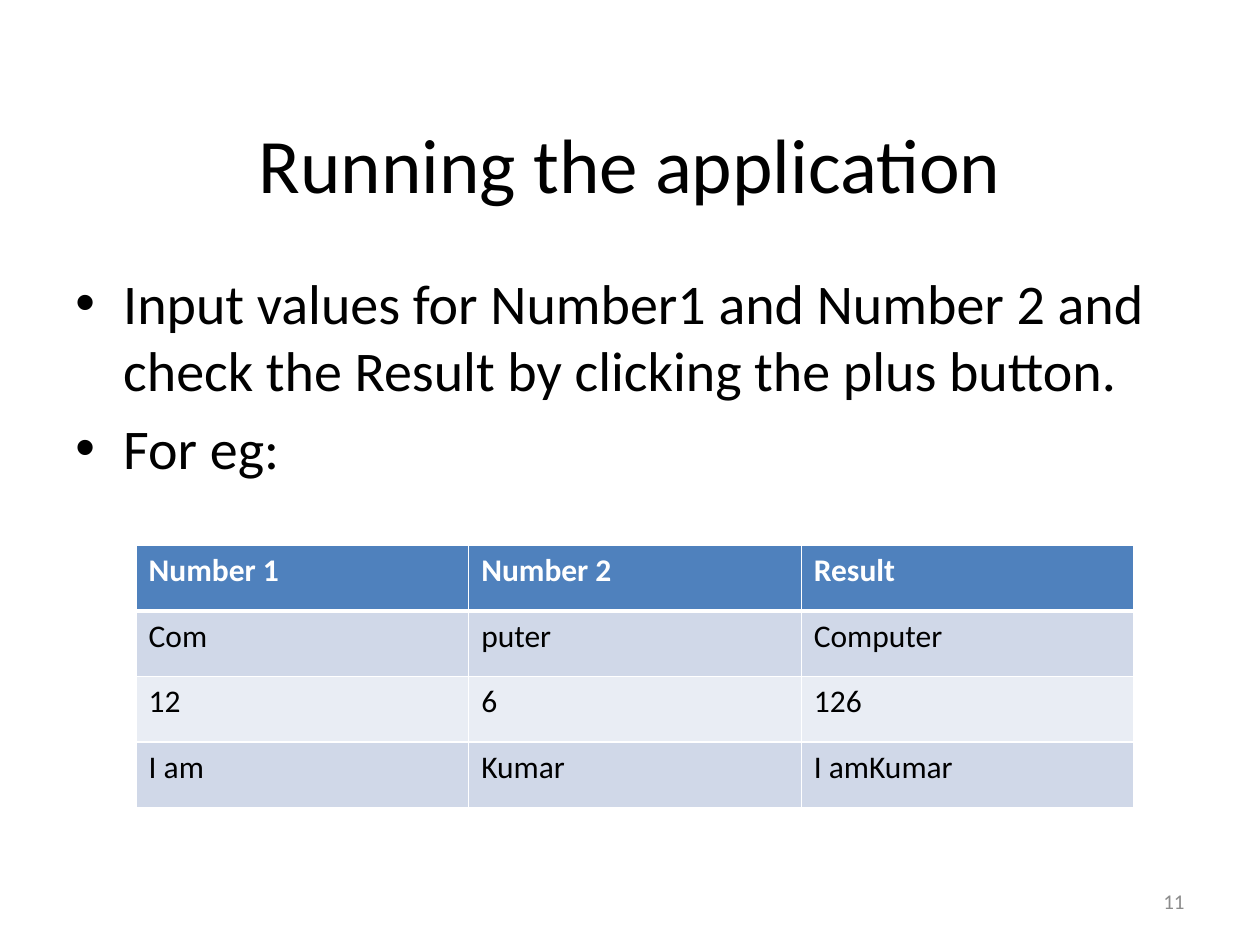
"""Build the slide on running the application, with its table of sample inputs."""
from dataclasses import dataclass

import lxml.etree
import pptx
import pptx.dml.color
import pptx.enum.text
import pptx.oxml.ns
import pptx.util

Inches = pptx.util.Inches
Pt = pptx.util.Pt
Align = pptx.enum.text.PP_ALIGN
Anchor = pptx.enum.text.MSO_ANCHOR
qn = pptx.oxml.ns.qn


@dataclass(frozen=True)
class Style:
    size: int
    color: str = "000000"
    bold: bool = False
    align: Align = Align.LEFT


@dataclass(frozen=True)
class Box:
    left: float
    top: float
    width: float
    height: float

    def lengths(self) -> list:
        return [Inches(v) for v in (self.left, self.top, self.width, self.height)]


TITLE = Style(44, align=Align.CENTER)
BODY = Style(32)
NUMBER = Style(12, "8C8C8C", align=Align.RIGHT)
HEADER = Style(18, "FFFFFF", True)
CELL = Style(18)
HEADER_FILL = "4F81BD"
BAND_FILLS = ("D0D8E8", "E9EDF4")
BULLETS = (
    "Input values for Number1 and Number 2 and check the Result by clicking the plus button.",
    "For eg:",
)
ROWS = (
    ("Number 1", "Number 2", "Result"),
    ("Com", "puter", "Computer"),
    ("12", "6", "126"),
    ("I am", "Kumar", "I amKumar"),
)


def rgb(color: str) -> pptx.dml.color.RGBColor:
    return pptx.dml.color.RGBColor.from_string(color)


def add_text(p, text: str, style: Style) -> None:
    p.alignment = style.align
    r = p.add_run()
    r.text = text
    r.font.name = "Calibri"
    r.font.size = Pt(style.size)
    r.font.bold = style.bold
    r.font.color.rgb = rgb(style.color)


def add_box(s, box: Box, anchor: Anchor):
    tf = s.shapes.add_textbox(*box.lengths()).text_frame
    tf.word_wrap = True
    tf.vertical_anchor = anchor
    return tf


def add_bullets(s, box: Box, items: tuple) -> None:
    tf = add_box(s, box, Anchor.TOP)
    for i, item in enumerate(items):
        p = tf.add_paragraph() if i else tf.paragraphs[0]
        add_text(p, item, BODY)
        p.space_before = Pt(BODY.size * 0.2)
        pPr = p._p.get_or_add_pPr()
        pPr.set("marL", str(Inches(0.38)))
        pPr.set("indent", str(-Inches(0.38)))
        lxml.etree.SubElement(pPr, qn("a:buFont"), typeface="Arial")
        lxml.etree.SubElement(pPr, qn("a:buChar"), char="•")


def set_borders(cell, widths: dict) -> None:
    tcPr = cell._tc.get_or_add_tcPr()
    for side, width in widths.items():
        ln = lxml.etree.SubElement(tcPr, qn(f"a:ln{side}"), w=str(Pt(width)))
        fill = lxml.etree.SubElement(ln, qn("a:solidFill"))
        lxml.etree.SubElement(fill, qn("a:srgbClr"), val="FFFFFF")


def add_table(s, box: Box, rows: tuple) -> None:
    table = s.shapes.add_table(len(rows), len(rows[0]), *box.lengths()).table
    for i, row in enumerate(rows):
        style = CELL if i else HEADER
        fill = BAND_FILLS[(i - 1) % 2] if i else HEADER_FILL
        for j, text in enumerate(row):
            cell = table.cell(i, j)
            set_borders(cell, {"L": 1, "R": 1, "T": 3 if i == 1 else 1, "B": 1 if i else 3})
            cell.fill.solid()
            cell.fill.fore_color.rgb = rgb(fill)
            add_text(cell.text_frame.paragraphs[0], text, style)


def main() -> None:
    prs = pptx.Presentation()
    prs.slide_width, prs.slide_height = Inches(10), Inches(7.5)
    s = prs.slides.add_slide(prs.slide_layouts[5])
    sp = s.shapes.title
    sp.left, sp.top, sp.width, sp.height = Box(0.5, 0.67, 9, 1.25).lengths()
    sp.text_frame.vertical_anchor = Anchor.MIDDLE
    add_text(sp.text_frame.paragraphs[0], "Running the application", TITLE)
    add_bullets(s, Box(0.5, 2.08, 9, 4.62), BULLETS)
    tf = add_box(s, Box(7.17, 6.95, 2.33, 0.4), Anchor.MIDDLE)
    add_text(tf.paragraphs[0], "11", NUMBER)
    add_table(s, Box(1.08, 4.33, 7.92, 2.08), ROWS)
    prs.save("out.pptx")


if __name__ == "__main__":
    main()
